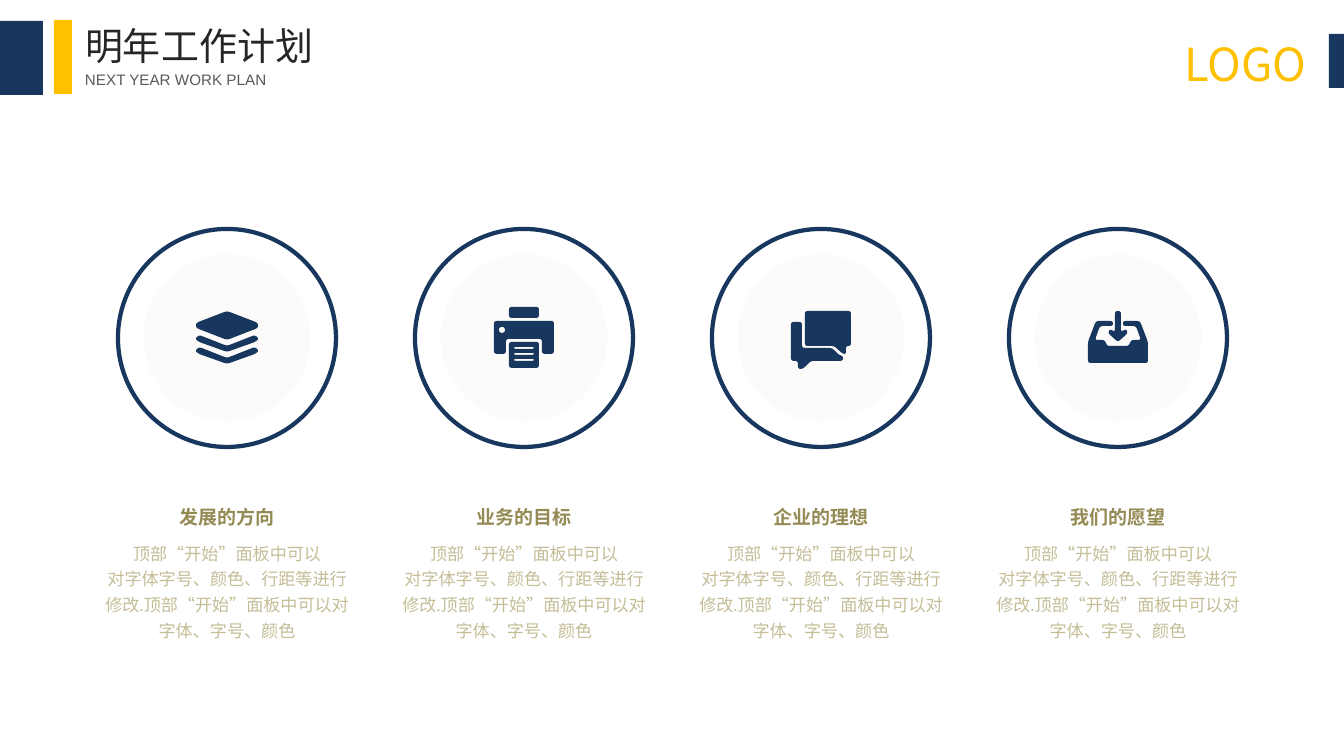
from math import dist

from pptx import Presentation
from pptx.dml.color import RGBColor
from pptx.enum.lang import MSO_LANGUAGE_ID
from pptx.enum.shapes import MSO_SHAPE
from pptx.enum.text import MSO_ANCHOR, MSO_AUTO_SIZE, PP_ALIGN
from pptx.util import Emu, Pt

RECT, OVAL = MSO_SHAPE.RECTANGLE, MSO_SHAPE.OVAL
LEFT, CENTER = PP_ALIGN.LEFT, PP_ALIGN.CENTER
TOP, MIDDLE = MSO_ANCHOR.TOP, MSO_ANCHOR.MIDDLE
CHINESE = MSO_LANGUAGE_ID.SIMPLIFIED_CHINESE
FIXED = MSO_AUTO_SIZE.NONE

NAVY, GOLD, CREAM = "17375E", "FFC000", "FCFBF9"
EMU_PER_PX = 6694
SLIDE_W, SLIDE_H = 1344, 753

TITLE = "明年工作计划"
SUBTITLE = "NEXT YEAR WORK PLAN"
LOGO = "LOGO"
DESCRIPTION = [
    "顶部“开始”面板中可以",
    "对字体字号、颜色、行距等进行修改.顶部“开始”面板中可以对",
    "字体、字号、颜色",
]


def box(left, top, right, bottom):
    return [(left, top), (right, top), (right, bottom), (left, bottom)]


def chevron(drop):
    outline = [(-28, -3), (0, 8), (28, -3), (32, 1), (28, 4), (0, 14), (-28, 4), (-32, 1)]
    return [(x, y + drop) for x, y in outline]


LAYERS = [
    [(0, -27), (31, -15), (31, -10), (0, 2), (-31, -10), (-31, -15)],
    chevron(0),
    chevron(12),
]
PRINTER = [
    [(-30, -17), (30, -17), (30, 16), (18, 16), (18, 1), (-18, 1), (-18, 16), (-30, 16)],
    box(-25, -11, -19, -5),
    box(-15, -31, 15, -20),
    box(-15, 4, 15, 30),
    *[box(-10, top, 10, top + 2) for top in (9, 15, 21)],
]
CHAT = [
    [(-16, -27), (30, -27), (30, 8), (25, 8), (25, 16), (22, 16), (13, 8), (-16, 8)],
    [(-30, -16), (-19, -16), (-19, 10), (11, 10), (18, 17), (22, 18), (22, 23),
     (-10, 23), (-18, 31), (-23, 31), (-23, 23), (-30, 23)],
]
INBOX = [
    [(-30, 25), (-30, 4), (-22, -17), (-5, -17), (-5, -12), (-18, -12), (-23, 2),
     (-13, 2), (-11, 8), (11, 8), (13, 2), (23, 2), (18, -12), (5, -12), (5, -17),
     (22, -17), (30, 4), (30, 25)],
    [(-3, -27), (3, -27), (3, -6), (8, -9), (10, -5), (0, 4), (-10, -5), (-8, -9), (-3, -6)],
]
PLANS = [
    ("发展的方向", LAYERS),
    ("业务的目标", PRINTER),
    ("企业的理想", CHAT),
    ("我们的愿望", INBOX),
]
BARS = [
    ((-1, 21, 44, 74), NAVY),
    ((54, 20, 18, 74), GOLD),
    ((1329, 34, 20, 54), NAVY),
]

TITLE_FORMAT = {"name": "Arial", "size": Pt(20), "language_id": CHINESE}
SUBTITLE_FORMAT = {"name": "Arial", "size": Pt(8)}
LOGO_FORMAT = {"name": "Noto Sans CJK SC", "size": Pt(24)}
HEADING_FORMAT = {"name": "Calibri", "size": Pt(10), "bold": True, "language_id": CHINESE}
DESCRIPTION_FORMAT = {"name": "Calibri", "size": Pt(9), "language_id": CHINESE}

FIRST_X, STEP_X, CENTER_Y = 227, 297, 338
RING, DISC, CORNER = 218, 167, 3
COLUMN_W, HEADING_Y, HEADING_H, DESCRIPTION_Y, DESCRIPTION_H = 283, 493, 42, 531, 117


def px(length):
    return Emu(round(length * EMU_PER_PX))


def color(value):
    return RGBColor.from_string(value)


def paint(part, fill=None, line=None):
    part.shadow.inherit = False
    if fill:
        part.fill.solid()
        part.fill.fore_color.rgb = color(fill)
    else:
        part.fill.background()
    if line:
        part.line.color.rgb = color(line)
        part.line.width = Pt(2.25)
    else:
        part.line.fill.background()


def add_preset(slide, preset, place, **paints):
    paint(slide.shapes.add_shape(preset, *map(px, place)), **paints)


def write(holder, lines, ink, formats, align=LEFT, anchor=TOP, inset=(0, 0), spacing=1):
    frame = holder.text_frame
    side, edge = map(px, inset)
    frame_format = {
        "word_wrap": True, "auto_size": FIXED, "vertical_anchor": anchor,
        "margin_left": side, "margin_right": side,
        "margin_top": edge, "margin_bottom": edge,
    }
    for key, value in frame_format.items():
        setattr(frame, key, value)
    frame.text = "\n".join(lines)
    for paragraph in frame.paragraphs:
        paragraph.alignment = align
        paragraph.line_spacing = spacing
        font = paragraph.runs[0].font
        font.color.rgb = color(ink)
        for key, value in formats.items():
            setattr(font, key, value)


def add_text(slide, place, *content, **layout):
    write(slide.shapes.add_textbox(*map(px, place)), *content, **layout)


def rounded(outline):
    points = []
    for i, corner in enumerate(outline):
        ends = []
        for neighbour in (outline[i - 1], outline[(i + 1) % len(outline)]):
            share = min(0.5, CORNER / dist(corner, neighbour))
            ends.append([c + (n - c) * share for c, n in zip(corner, neighbour)])
        for t in (0, 0.25, 0.5, 0.75, 1):
            points.append([
                (1 - t) ** 2 * a + 2 * t * (1 - t) * c + t ** 2 * b
                for a, c, b in zip(ends[0], corner, ends[1])
            ])
    return points


def add_icon(slide, center_x, outlines):
    contours = [
        [(px(center_x + x), px(CENTER_Y + y)) for x, y in rounded(outline)]
        for outline in outlines
    ]
    builder = slide.shapes.build_freeform(*contours[0][0], scale=1.0)
    for i, contour in enumerate(contours):
        if i:
            builder.move_to(*contour[0])
        builder.add_line_segments(contour[1:], close=True)
    paint(builder.convert_to_shape(), fill=NAVY)


def add_plan(slide, center_x, heading, outlines):
    for size, paints in ((DISC, {"fill": CREAM}), (RING, {"line": NAVY})):
        place = (center_x - size / 2, CENTER_Y - size / 2, size, size)
        add_preset(slide, OVAL, place, **paints)
    add_icon(slide, center_x, outlines)
    left = center_x - COLUMN_W / 2
    layout = {"align": CENTER, "inset": (14, 7), "spacing": 1.25}
    add_text(slide, (left, HEADING_Y, COLUMN_W, HEADING_H),
             [heading], "948A54", HEADING_FORMAT, **layout)
    add_text(slide, (left, DESCRIPTION_Y, COLUMN_W, DESCRIPTION_H),
             DESCRIPTION, "C4BD97", DESCRIPTION_FORMAT, **layout)


def main():
    deck = Presentation()
    deck.slide_width, deck.slide_height = px(SLIDE_W), px(SLIDE_H)
    slide = deck.slides.add_slide(deck.slide_layouts[5])
    title = slide.shapes.title
    for key, value in zip(("left", "top", "width", "height"), (85, 22, 242, 46)):
        setattr(title, key, px(value))
    write(title, [TITLE], "262626", TITLE_FORMAT, anchor=MIDDLE)
    add_text(slide, (85, 70, 242, 18), [SUBTITLE], "595959", SUBTITLE_FORMAT, anchor=MIDDLE)
    for place, fill in BARS:
        add_preset(slide, RECT, place, fill=fill)
    add_text(slide, (1174, 31, 176, 66), [LOGO], GOLD, LOGO_FORMAT, inset=(10, 5))
    for i, (heading, outlines) in enumerate(PLANS):
        add_plan(slide, FIRST_X + i * STEP_X, heading, outlines)
    deck.save("out.pptx")


if __name__ == "__main__":
    main()
